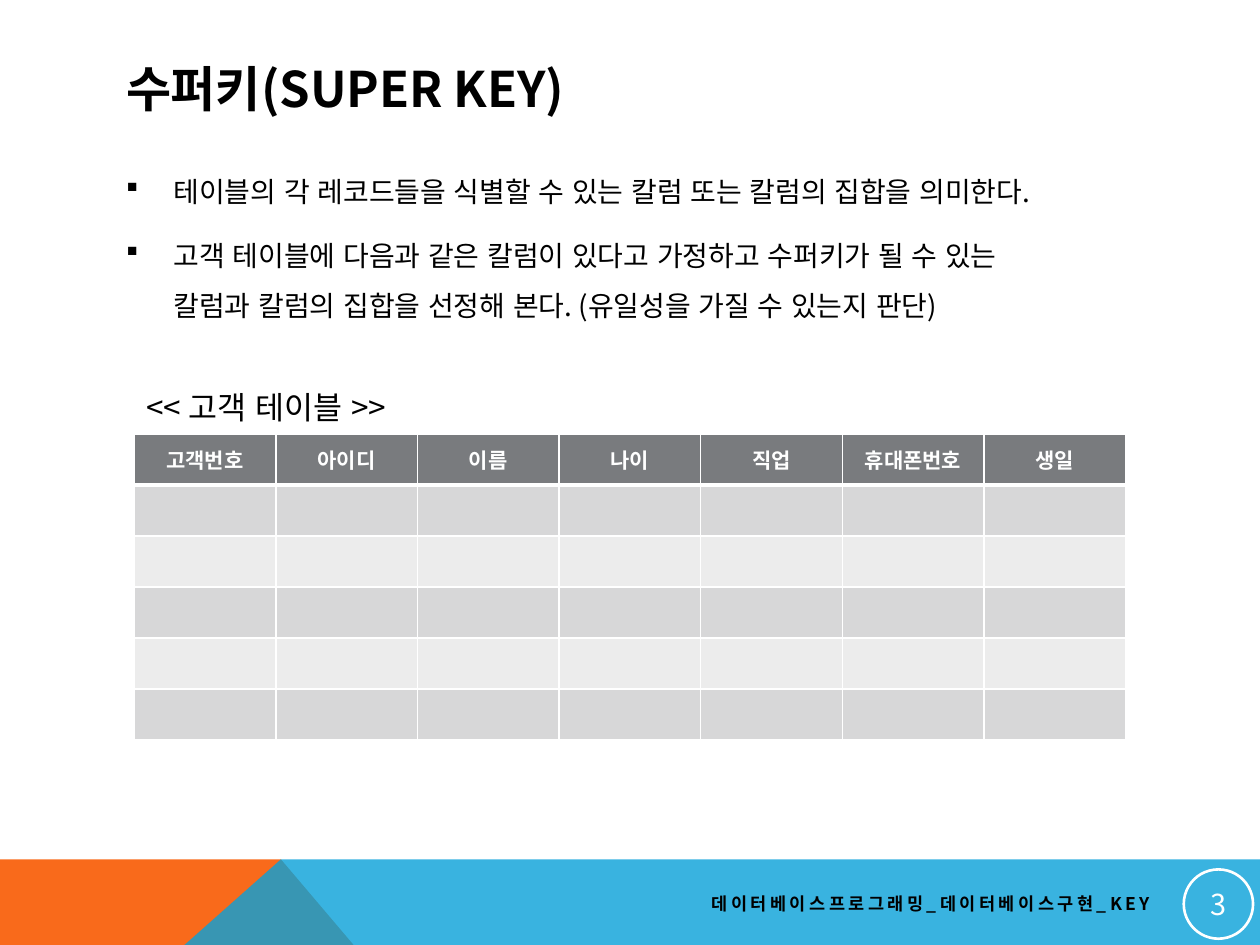
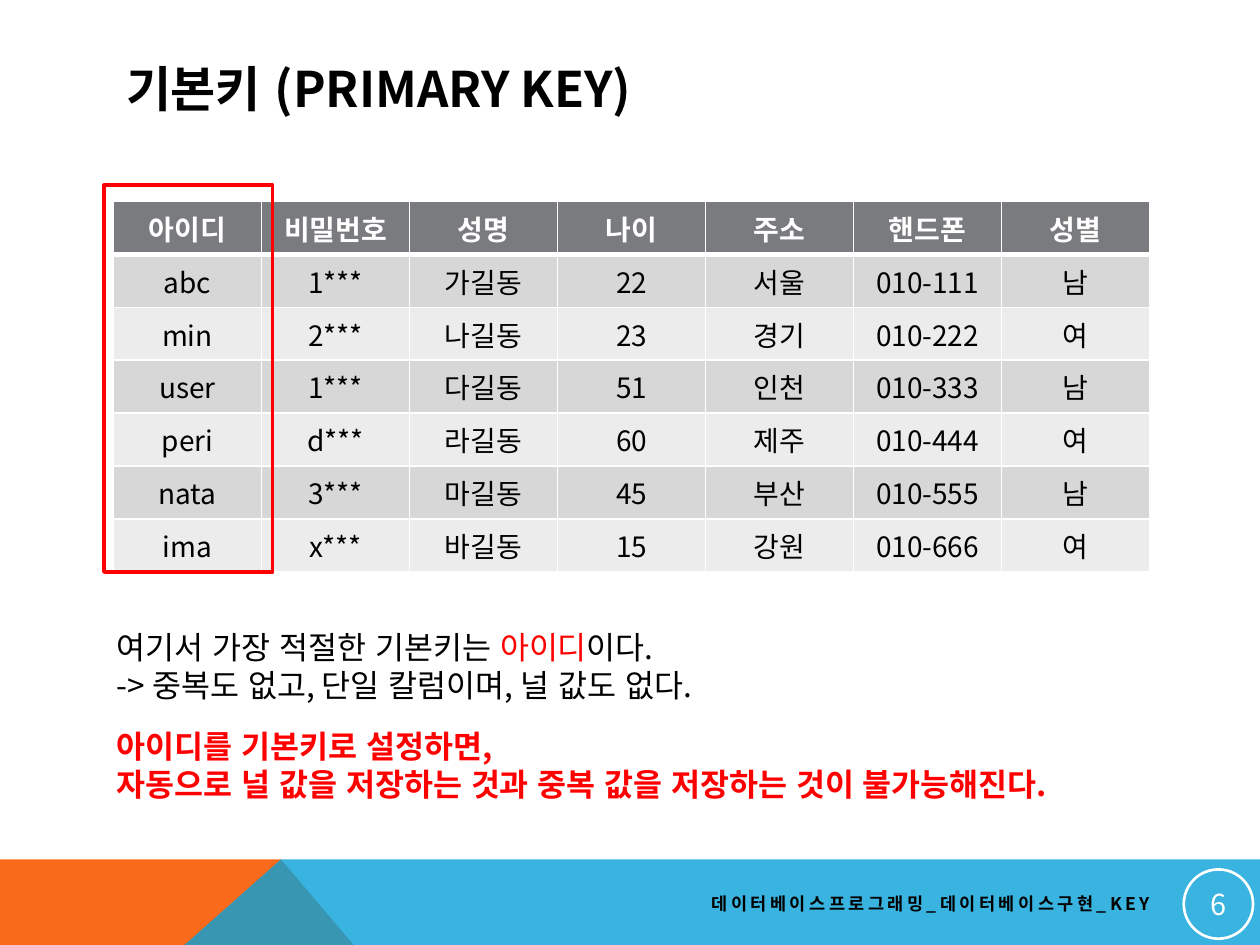
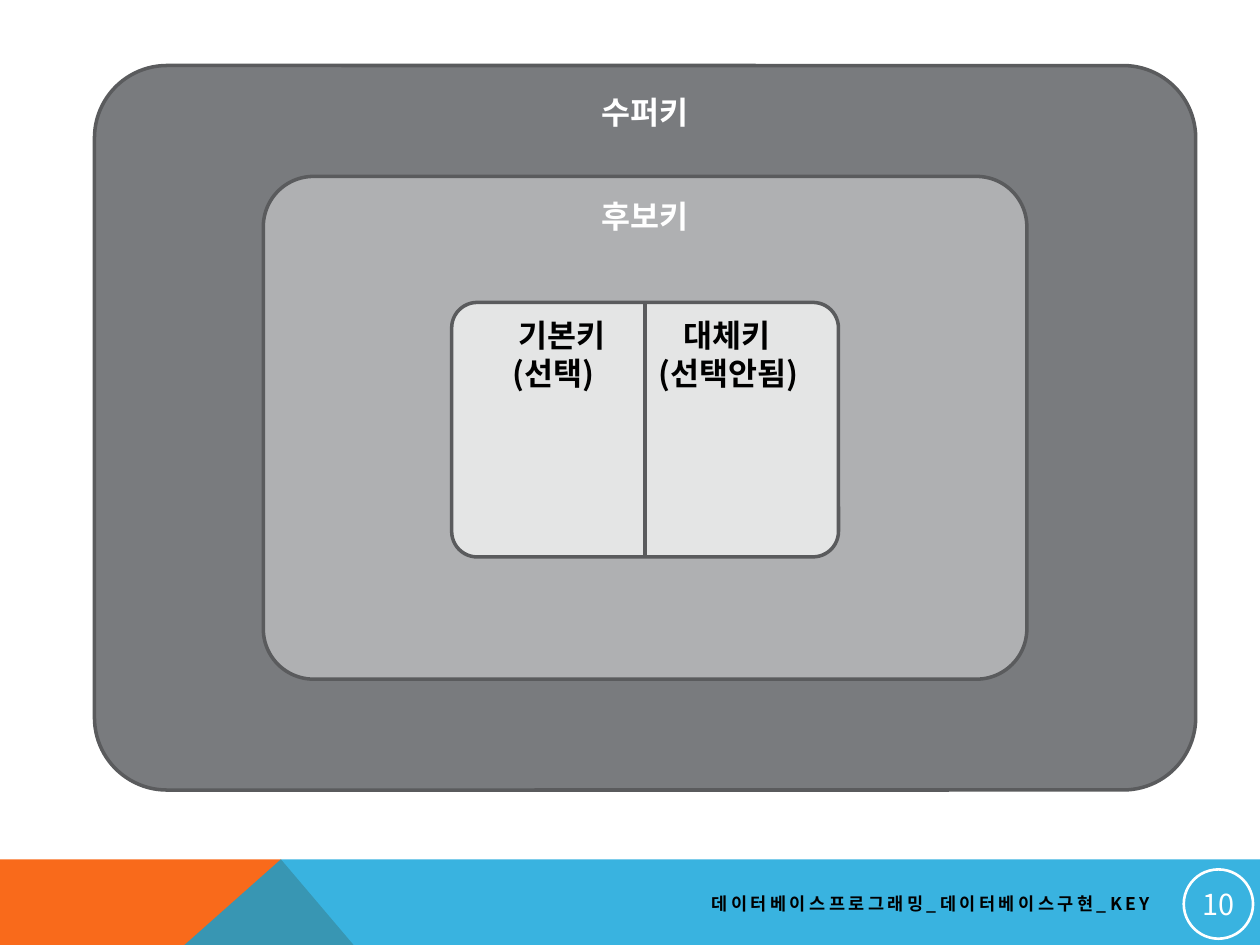
from lxml import etree
from pptx import Presentation, util as u
from pptx.dml.color import RGBColor
from pptx.enum import shapes, text
from pptx.oxml.ns import qn

FONT = "Noto Sans CJK KR"
BLACK = RGBColor(0x00, 0x00, 0x00)
WHITE = RGBColor(0xFF, 0xFF, 0xFF)
RED = RGBColor(0xFF, 0x00, 0x00)
ORANGE = RGBColor(0xF9, 0x6A, 0x1B)
BLUE = RGBColor(0x08, 0xA1, 0xD9)
HEADER_GRAY = RGBColor(0x79, 0x7B, 0x7E)
MIDDLE_GRAY = RGBColor(0xAF, 0xB0, 0xB2)
INNER_GRAY = RGBColor(0xE4, 0xE5, 0xE5)
OUTLINE_GRAY = RGBColor(0x5A, 0x5B, 0x5D)
ROW_GRAYS = [RGBColor(0xEC, 0xEC, 0xEC), RGBColor(0xD7, 0xD7, 0xD8)]

CENTER = {"alignment": text.PP_ALIGN.CENTER}
LEFT = {"alignment": text.PP_ALIGN.LEFT}
MIDDLE = text.MSO_ANCHOR.MIDDLE
TOP = text.MSO_ANCHOR.TOP

deck = Presentation()
deck.slide_width, deck.slide_height = u.Inches(10), u.Inches(7.5)
# Grid of 100 columns by 75 rows.
COL, ROW = deck.slide_width / 100, deck.slide_height / 75


def place(left, top, width, height):
    """Turn grid columns and rows into left, top, width and height."""
    return [u.Emu(round(n * step)) for n, step in
            zip((left, top, width, height), (COL, ROW, COL, ROW))]


def write(frame, lines, size, colour=BLACK, bold=False, para_format=LEFT, **frame_format):
    """Write paragraphs, each a string or a list of (string, colour) spans."""
    for name, value in frame_format.items():
        setattr(frame, name, value)
    for number, line in enumerate(lines):
        para = frame.paragraphs[0] if number == 0 else frame.add_paragraph()
        for name, value in para_format.items():
            setattr(para, name, value)
        for words, tint in [(line, colour)] if isinstance(line, str) else line:
            for part_number, part in enumerate(words.split("\n")):
                if part_number:
                    para.add_line_break()
                span = para.add_run()
                span.text = part
                for name, value in {"name": FONT, "size": u.Pt(size), "bold": bold}.items():
                    setattr(span.font, name, value)
                span.font.color.rgb = tint
                props = span._r.get_or_add_rPr()
                props.set("lang", "ko-KR")
                etree.SubElement(props, qn("a:ea"), typeface=FONT)


# Slides, with the footer and page number on each
TITLE_ONLY, BLANK = deck.slide_layouts[5], deck.slide_layouts[6]
pages = []
for number, layout, title in [("3", TITLE_ONLY, "수퍼키(SUPER KEY)"),
                              ("6", TITLE_ONLY, "기본키 (PRIMARY KEY)"),
                              ("10", BLANK, None)]:
    page = deck.slides.add_slide(layout)
    pages.append(page)
    if title:
        heading = page.shapes.title
        heading.left, heading.top, heading.width, heading.height = place(9, 4, 82.2, 6)
        write(heading.text_frame, [title], 28, bold=True, vertical_anchor=MIDDLE,
              auto_size=text.MSO_AUTO_SIZE.NONE)

    footer = page.shapes.add_textbox(*place(40.55, 70.2, 51.7, 3))
    write(footer.text_frame, ["데이터베이스프로그래밍_데이터베이스구현_KEY"], 10, bold=True,
          para_format={"alignment": text.PP_ALIGN.RIGHT}, vertical_anchor=MIDDLE, word_wrap=True)
    footer.text_frame.paragraphs[0].runs[0]._r.get_or_add_rPr().set("spc", "200")

    badge = page.shapes.add_shape(shapes.MSO_SHAPE.OVAL, *place(93.95, 69, 5.5, 5.5))
    badge.shadow.inherit = False
    badge.fill.background()
    badge.line.color.rgb, badge.line.width = WHITE, u.Pt(1.5)
    margins = {f"margin_{side}": u.Inches(0.01) for side in ("left", "top", "right", "bottom")}
    write(badge.text_frame, [number], 16.5, WHITE, para_format=CENTER,
          vertical_anchor=MIDDLE, **margins)

super_page, primary_page, overview_page = pages

# Bottom bands, shared through the slide master; they bleed over the lower edge
BAND_TOP, BAND_BOTTOM, PEAK = 68.2, 88, 22.3
bands = [(ORANGE, [(0, BAND_BOTTOM), (0, BAND_TOP), (PEAK, BAND_TOP), (39.1, BAND_BOTTOM)]),
         (BLUE, [(0, BAND_BOTTOM), (PEAK, BAND_TOP), (100, BAND_TOP), (100, BAND_BOTTOM)])]
for layer, (colour, corners) in enumerate(bands):
    points = [(round(x * COL), round(y * ROW)) for x, y in corners]
    builder = super_page.shapes.build_freeform(*points[0])
    builder.add_line_segments(points[1:], close=True)
    band = builder.convert_to_shape()
    band.shadow.inherit = False
    band.fill.solid()
    band.fill.fore_color.rgb = colour
    band.line.fill.background()
    if colour == BLUE:
        tint = next(band.element.iter(qn("a:srgbClr")))
        etree.SubElement(tint, qn("a:alpha"), val="80000")
    deck.slide_master.shapes.element.insert(2 + layer, band.element)

# Tables on the first two slides
customer_rows = [["고객번호", "아이디", "이름", "나이", "직업", "휴대폰번호", "생일"]] + [[""] * 7] * 5
member_rows = [
    ["아이디", "비밀번호", "성명", "나이", "주소", "핸드폰", "성별"],
    ["abc", "1***", "가길동", "22", "서울", "010-111", "남"],
    ["min", "2***", "나길동", "23", "경기", "010-222", "여"],
    ["user", "1***", "다길동", "51", "인천", "010-333", "남"],
    ["peri", "d***", "라길동", "60", "제주", "010-444", "여"],
    ["nata", "3***", "마길동", "45", "부산", "010-555", "남"],
    ["ima", "x***", "바길동", "15", "강원", "010-666", "여"],
]
for page, rows, spot, size, anchor in [
        (super_page, customer_rows, (10.65, 34.45, 78.7, 24.3), 12, MIDDLE),
        (primary_page, member_rows, (9, 16, 82.25, 29.4), 16, TOP)]:
    table = page.shapes.add_table(len(rows), len(rows[0]), *place(*spot)).table
    for r, row in enumerate(rows):
        for c, words in enumerate(row):
            cell = table.cell(r, c)
            cell.vertical_anchor = anchor
            cell.fill.solid()
            cell.fill.fore_color.rgb = ROW_GRAYS[r % 2] if r else HEADER_GRAY
            write(cell.text_frame, [words], size, BLACK if r else WHITE, r == 0, CENTER)
            widths = {"lnL": 1, "lnR": 1, "lnT": 3 if r == 1 else 1, "lnB": 1 if r else 3}
            for order, (edge, width) in enumerate(widths.items()):
                border = etree.Element(qn(f"a:{edge}"), w=str(u.Pt(width)))
                paint = etree.SubElement(border, qn("a:solidFill"))
                etree.SubElement(paint, qn("a:srgbClr"), val=str(WHITE))
                cell._tc.get_or_add_tcPr().insert(order, border)

# Slide 1: super key
points_box = super_page.shapes.add_textbox(*place(9, 12, 82.7, 14.4))
write(points_box.text_frame,
      ["테이블의 각 레코드들을 식별할 수 있는 칼럼 또는 칼럼의 집합을 의미한다.",
       "고객 테이블에 다음과 같은 칼럼이 있다고 가정하고 수퍼키가 될 수 있는 \n"
       "칼럼과 칼럼의 집합을 선정해 본다. (유일성을 가질 수 있는지 판단)"],
      16, para_format={"line_spacing": 1.5, "space_before": u.Pt(8)}, word_wrap=True)
for para in points_box.text_frame.paragraphs:
    props = para._p.get_or_add_pPr()
    props.set("marL", str(u.Inches(0.38)))
    props.set("indent", str(-u.Inches(0.38)))
    etree.SubElement(props, qn("a:buFont"), typeface="Wingdings", charset="2")
    etree.SubElement(props, qn("a:buChar"), char="§")

caption = super_page.shapes.add_textbox(*place(10.65, 28.8, 24.4, 5.6))
write(caption.text_frame, ["<< 고객 테이블 >>"], 18, para_format={"line_spacing": 1.5},
      word_wrap=False)

# Slide 2: primary key
marker = primary_page.shapes.add_shape(shapes.MSO_SHAPE.RECTANGLE, *place(8.25, 14.7, 13.4, 30.7))
marker.shadow.inherit = False
marker.fill.background()
marker.line.color.rgb, marker.line.width = RED, u.Pt(2)

for top, width, lines, colour, bold in [
        (49.35, 53.9, [[("여기서 가장 적절한 기본키는 ", BLACK), ("아이디", RED), ("이다.", BLACK)],
                       "-> 중복도 없고, 단일 칼럼이며, 널 값도 없다."], BLACK, False),
        (57.2, 83.9, ["아이디를 기본키로 설정하면,",
                      "자동으로 널 값을 저장하는 것과 중복 값을 저장하는 것이 불가능해진다."], RED, True)]:
    note = primary_page.shapes.add_textbox(*place(8.3, top, width, 7.1))
    write(note.text_frame, lines, 18, colour, bold, word_wrap=False)

# Slide 3: nested key sets around one vertical axis
AXIS, INNER_TOP, INNER_HEIGHT = 51.2, 24, 20.2
nest = overview_page.shapes.add_group_shape()
for top, width, height, fill, lines, colour, para_format in [
        (5.2, 87.4, 57.5, HEADER_GRAY, ["수퍼키"], WHITE, CENTER),
        (14, 60.6, 39.9, MIDDLE_GRAY, ["후보키"], WHITE, CENTER),
        (INNER_TOP, 30.7, INNER_HEIGHT, INNER_GRAY,
         ["\t기본키\t대체키", "\t(선택)\t(선택안됨)"], BLACK, LEFT)]:
    box = nest.shapes.add_shape(shapes.MSO_SHAPE.ROUNDED_RECTANGLE,
                                *place(AXIS - width / 2, top, width, height))
    box.adjustments[0] = 0.1
    box.shadow.inherit = False
    box.fill.solid()
    box.fill.fore_color.rgb = fill
    box.line.color.rgb, box.line.width = OUTLINE_GRAY, u.Pt(2)
    write(box.text_frame, lines, 18, colour, True, para_format, vertical_anchor=TOP)
for para, positions in zip(box.text_frame.paragraphs, [(0.72, 2.03), (0.65, 2.04)]):
    stops = etree.SubElement(para._p.get_or_add_pPr(), qn("a:tabLst"))
    for position in positions:
        etree.SubElement(stops, qn("a:tab"), pos=str(u.Inches(position)), algn="ctr")

x, top, _, height = place(AXIS, INNER_TOP, 0, INNER_HEIGHT)
divider = nest.shapes.add_connector(shapes.MSO_CONNECTOR.STRAIGHT, x, top, x, top + height)
divider.line.color.rgb, divider.line.width = OUTLINE_GRAY, u.Pt(2)
etree.SubElement(divider.element.spPr, qn("a:effectLst"))

deck.save("out.pptx")
